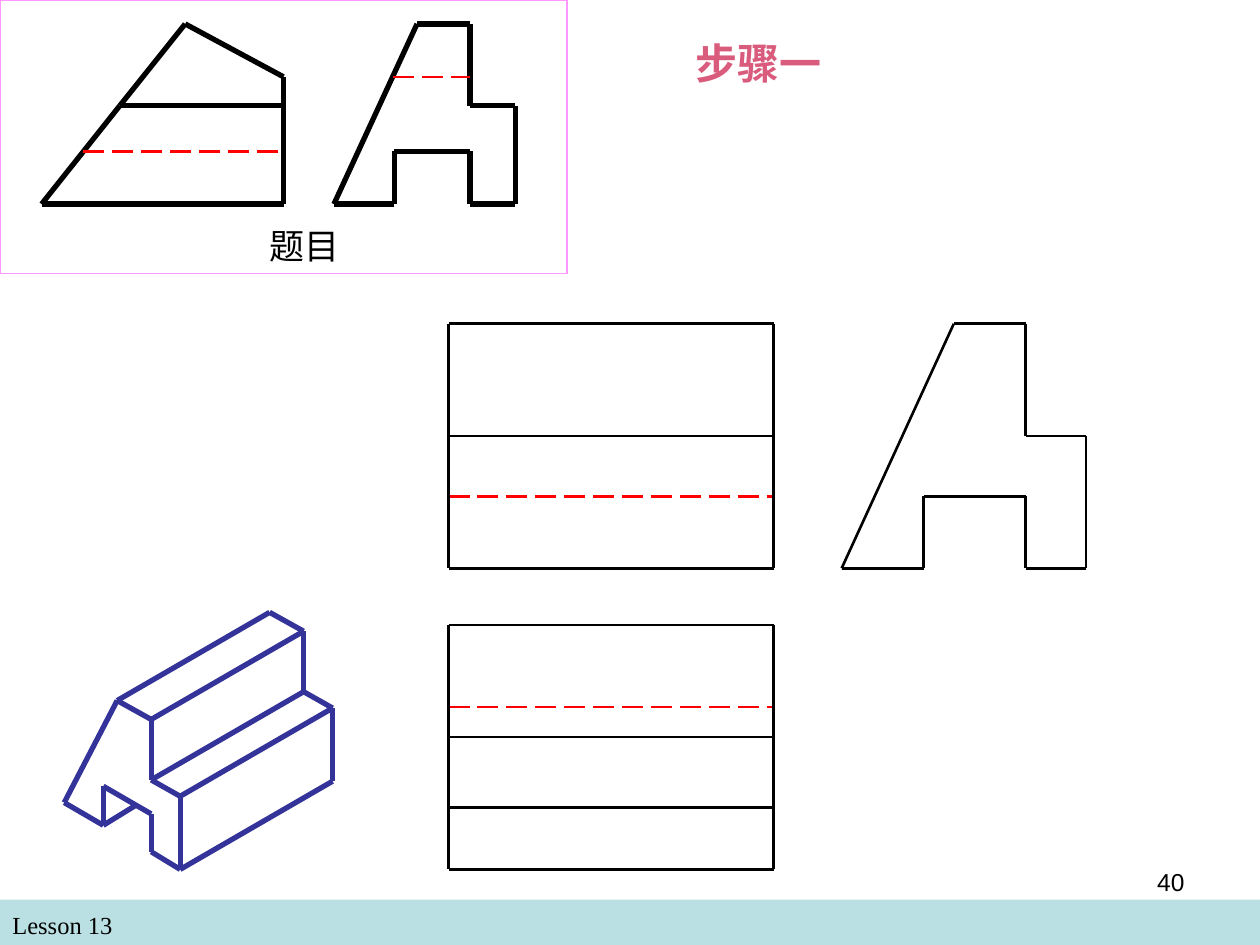
from itertools import pairwise

from lxml.etree import SubElement
from pptx import Presentation
from pptx.dml.color import RGBColor
from pptx.enum.dml import MSO_LINE
from pptx.enum.shapes import MSO_CONNECTOR, MSO_SHAPE
from pptx.enum.text import MSO_ANCHOR, MSO_AUTO_SIZE, PP_ALIGN
from pptx.oxml.ns import qn
from pptx.util import Inches, Pt

COLORS = {"band": "BBE0E3", "text": "000000", "title": "DA5C7D", "edge": "000000",
          "hidden": "FF0000", "solid": "333399", "frame": "FF99FF"}


def draw_path(shapes, points, color="edge", width=1.5, dashed=False):
    """Join successive points with straight connectors."""
    for start, end in pairwise(points):
        line = shapes.add_connector(MSO_CONNECTOR.STRAIGHT,
                                    *(Inches(v) for v in start + end))
        line.line.color.rgb = RGBColor.from_string(COLORS[color])
        line.line.width = Pt(width)
        if dashed:
            line.line.dash_style = MSO_LINE.LONG_DASH
        SubElement(line._element.spPr, qn("a:effectLst"))


def write_text(sp, text, size, color="text", font="Times New Roman",
               bold=False, align=PP_ALIGN.LEFT):
    tf = sp.text_frame
    tf.word_wrap = True
    tf.auto_size = MSO_AUTO_SIZE.NONE
    tf.vertical_anchor = MSO_ANCHOR.TOP
    p = tf.paragraphs[0]
    p.text = text
    p.alignment = align
    p.font.name = font
    p.font.size = Pt(size)
    p.font.bold = bold
    p.font.color.rgb = RGBColor.from_string(COLORS[color])


prs = Presentation()
prs.slide_width, prs.slide_height = Inches(10), Inches(7.5)
s = prs.slides.add_slide(prs.slide_layouts[5])

# Footer band
band = s.shapes.add_shape(MSO_SHAPE.RECTANGLE, Inches(0), Inches(7.14), Inches(10), Inches(0.36))
band.shadow.inherit = False
band.fill.solid()
band.fill.fore_color.rgb = RGBColor.from_string(COLORS["band"])
band.line.fill.background()
footer = s.shapes.add_textbox(Inches(0), Inches(7.17), Inches(4.83), Inches(0.34))
write_text(footer, "Lesson 13", 14)

# Three views: front and top views share their left and right edges
views = s.shapes.add_group_shape().shapes
left, right = 3.56, 6.14
for y in (3.94, 5.61):
    draw_path(views, [(left, y), (right, y)], "hidden", dashed=True)
for levels in ((2.57, 3.46, 4.51), (4.96, 5.85, 6.41, 6.9)):
    for y in levels:
        draw_path(views, [(left, y), (right, y)])
    for x in (left, right):
        draw_path(views, [(x, y) for y in levels])
draw_path(views, [(6.68, 4.51), (7.57, 2.57), (8.14, 2.57), (8.14, 3.46),
                  (8.62, 3.46), (8.62, 4.51), (8.14, 4.51), (8.14, 3.94),
                  (7.33, 3.94), (7.33, 4.51), (6.68, 4.51)])

# Isometric solid: an end profile extruded up to the right
solid = s.shapes.add_group_shape().shapes
ridges = [(0.93, 5.56), (1.2, 5.71), (1.2, 6.19), (1.43, 6.32), (1.43, 6.9)]
profile = [(0.82, 6.55), (0.51, 6.37), *ridges,
           (1.2, 6.76), (1.2, 6.46), (0.82, 6.24), (0.82, 6.55)]
far_ridges = [(x + 1.21, y - 0.7) for x, y in ridges]
draw_path(solid, profile, "solid", 3)
draw_path(solid, far_ridges, "solid", 3)
for edge in zip(ridges, far_ridges):
    draw_path(solid, edge, "solid", 3)
draw_path(solid, [(0.82, 6.55), (1.08, 6.39)], "solid", 3)

# Step title
title = s.shapes.title
title.left, title.top, title.width, title.height = (Inches(v) for v in (5.42, 0.25, 1.42, 0.5))
write_text(title, "步骤一", 24, "title", bold=True)

# Problem panel
problem = s.shapes.add_group_shape().shapes
draw_path(problem, [(0.95, 0.84), (2.25, 0.84), (2.25, 1.62), (0.33, 1.62),
                    (0.95, 0.84), (1.47, 0.19), (2.25, 0.61), (2.25, 0.84)], width=3)
draw_path(problem, [(2.65, 1.62), (3.31, 0.19), (3.73, 0.19), (3.73, 0.84),
                    (4.09, 0.84), (4.09, 1.62), (3.73, 1.62), (3.73, 1.2),
                    (3.13, 1.2), (3.13, 1.62), (2.65, 1.62)], width=3)
for x1, x2, y in ((0.66, 2.25, 1.2), (3.12, 3.73, 0.61)):
    draw_path(problem, [(x1, y), (x2, y)], "hidden", dashed=True)
frame = problem.add_shape(MSO_SHAPE.RECTANGLE, Inches(0), Inches(0), Inches(4.5), Inches(2.17))
frame.shadow.inherit = False
frame.fill.background()
frame.line.color.rgb = RGBColor.from_string(COLORS["frame"])
frame.line.width = Pt(0.75)
caption = problem.add_textbox(Inches(1.83), Inches(1.73), Inches(1.17), Inches(0.44))
write_text(caption, "题目", 20, align=PP_ALIGN.CENTER)

# Page number
number = s.shapes.add_textbox(Inches(7.17), Inches(6.83), Inches(2.33), Inches(0.52))
write_text(number, "40", 14, font="Arial", align=PP_ALIGN.RIGHT)

prs.save("out.pptx")
